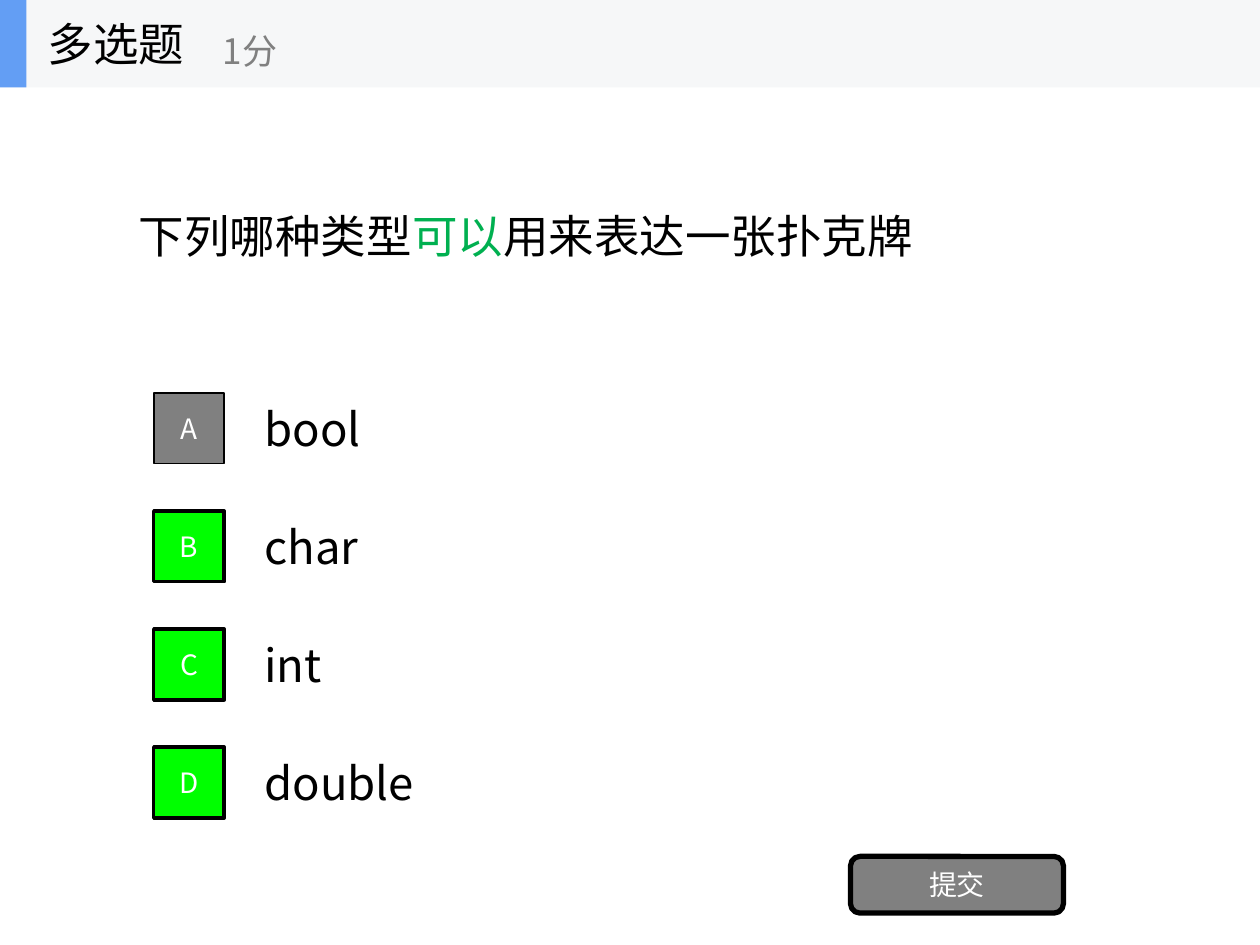
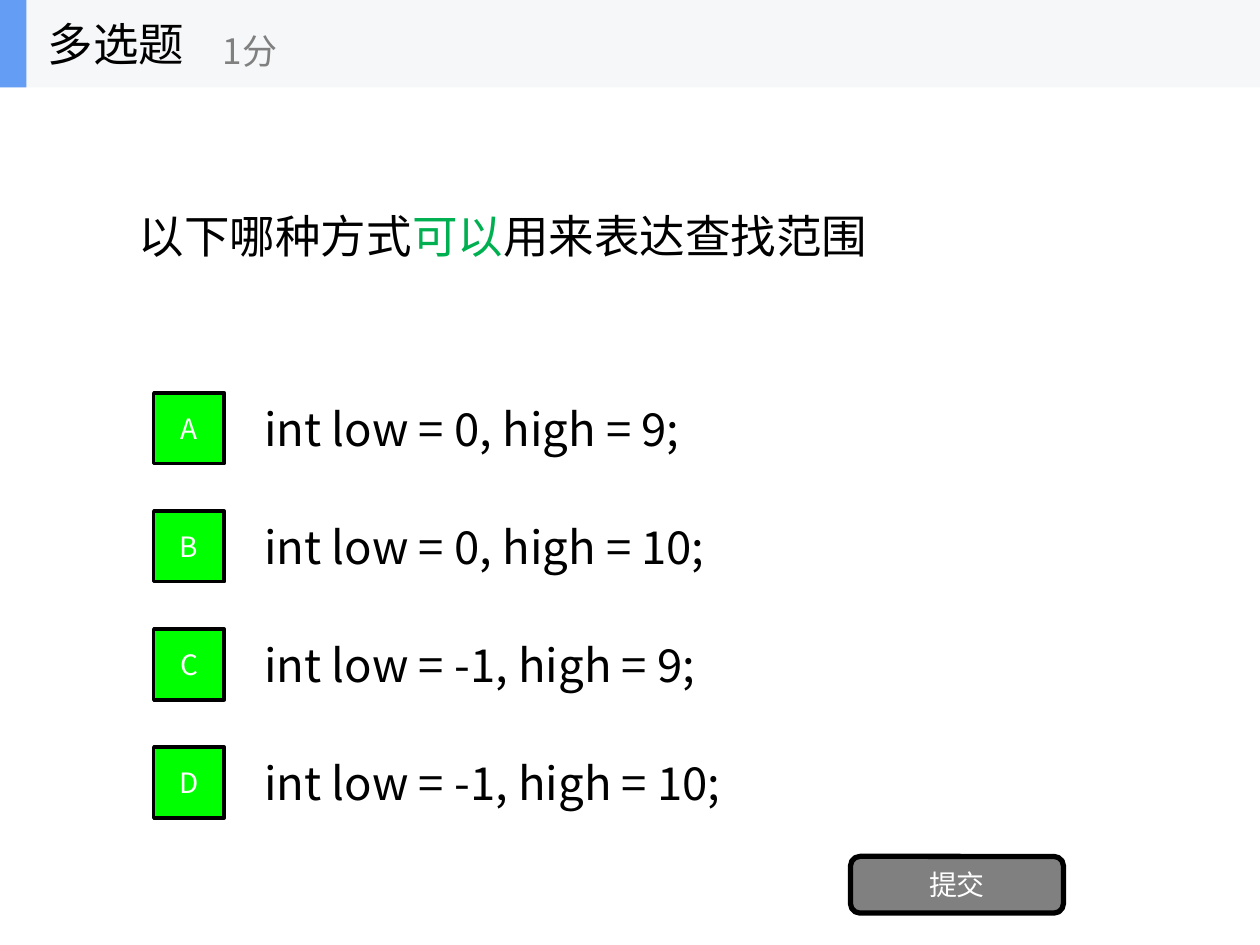
from dataclasses import dataclass
from typing import NamedTuple

from pptx import Presentation
from pptx.dml.color import RGBColor
from pptx.enum.shapes import MSO_SHAPE as Preset
from pptx.enum.text import MSO_ANCHOR as Anchor, MSO_AUTO_SIZE as AutoSize, PP_ALIGN as Align
from pptx.oxml.ns import qn
from pptx.util import Inches, Pt

FONT = "Noto Sans CJK SC"
COLORS = {
    "ink": "000000",
    "paper": "FFFFFF",
    "muted": "808080",
    "correct": "00FF00",
    "emphasis": "00B050",
    "band": "F6F7F8",
    "accent": "639EF4",
}
SLIDE_WIDTH, SLIDE_HEIGHT = Inches(10), Inches(7.5)
COLUMN, ROW = SLIDE_WIDTH / 10, SLIDE_HEIGHT / 8
BODY_SIZE, SCORE_SIZE, BUTTON_SIZE = 26, 20, 16


class Area(NamedTuple):
    column: float
    row: float
    columns: float
    rows: float

    def lengths(self) -> tuple[int, int, int, int]:
        return (
            round(self.column * COLUMN),
            round(self.row * ROW),
            round(self.columns * COLUMN),
            round(self.rows * ROW),
        )


class Span(NamedTuple):
    text: str
    color: str = "ink"


@dataclass(frozen=True)
class Option:
    text: str
    correct: bool = True


@dataclass(frozen=True)
class Question:
    wording: tuple[Span, ...]
    options: tuple[Option, ...]


HEADER_ROWS = 0.74
BAND = Area(0, 0, 10, HEADER_ROWS)
ACCENT = Area(0, 0, 0.21, HEADER_ROWS)
KIND = Area(0.28, 0, 2.08, HEADER_ROWS)
SCORE = Area(1.67, 0.13, 2.5, 0.6)
WORDING = Area(1, HEADER_ROWS, 8, 2.5)
SUBMIT = Area(6.75, 7.25, 1.69, 0.48)
FIRST_OPTION_ROW, OPTION_ROWS, BADGE_ROWS = 3.25, 0.75, 0.6

QUESTIONS = (
    Question(
        (Span("下列哪种类型"), Span("可以", "emphasis"), Span("用来表达一张扑克牌")),
        (Option("bool", False), Option("char"), Option("int"), Option("double")),
    ),
    Question(
        (Span("以下哪种方式"), Span("可以", "emphasis"), Span("用来表达查找范围")),
        tuple(
            Option(f"int low = {low}, high = {high};")
            for low in (0, -1)
            for high in (9, 10)
        ),
    ),
)


def rgb(color: str) -> RGBColor:
    return RGBColor.from_string(COLORS[color])


def write(frame, spans: tuple[Span, ...], size: float, align=Align.LEFT) -> None:
    frame.auto_size = AutoSize.NONE
    frame.word_wrap = True
    frame.vertical_anchor = Anchor.MIDDLE
    paragraph = frame.paragraphs[0]
    paragraph.alignment = align
    for span in spans:
        run = paragraph.add_run()
        run.text = span.text
        run.font.size = Pt(size)
        run.font.name = FONT
        run.font.color.rgb = rgb(span.color)
        east_asian = run.font._element.makeelement(qn("a:ea"), {"typeface": FONT})
        run.font._element.find(qn("a:latin")).addnext(east_asian)


def add_label(shapes, area: Area, span: Span, size: float) -> None:
    write(shapes.add_textbox(*area.lengths()).text_frame, (span,), size)


def add_block(shapes, preset, area: Area, fill: str, outline: float = 0):
    block = shapes.add_shape(preset, *area.lengths())
    block.shadow.inherit = False
    block.fill.solid()
    block.fill.fore_color.rgb = rgb(fill)
    if outline:
        block.line.color.rgb = rgb("ink")
        block.line.width = Pt(outline)
    else:
        block.line.fill.background()
    return block


def add_button(shapes, preset, area: Area, caption: str, fill: str, outline: float) -> None:
    button = add_block(shapes, preset, area, fill, outline)
    write(button.text_frame, (Span(caption, "paper"),), BUTTON_SIZE, Align.CENTER)


def add_header(slide) -> None:
    header = slide.shapes.add_group_shape().shapes
    add_block(header, Preset.RECTANGLE, BAND, "band")
    add_block(header, Preset.RECTANGLE, ACCENT, "accent")
    add_label(header, KIND, Span("多选题"), BODY_SIZE)
    add_label(header, SCORE, Span("1分", "muted"), SCORE_SIZE)


def add_options(slide, options: tuple[Option, ...]) -> None:
    for index, option in enumerate(options):
        area = Area(2, FIRST_OPTION_ROW + index, 7, OPTION_ROWS)
        add_label(slide.shapes, area, Span(option.text), BODY_SIZE)
    for index, (letter, option) in enumerate(zip("ABCD", options)):
        top = FIRST_OPTION_ROW + index + (OPTION_ROWS - BADGE_ROWS) / 2
        fill, outline = ("correct", 2) if option.correct else ("muted", 1)
        badge = Area(1.22, top, 0.56, BADGE_ROWS)
        add_button(slide.shapes, Preset.RECTANGLE, badge, letter, fill, outline)


def add_question(deck, question: Question) -> None:
    slide = deck.slides.add_slide(deck.slide_layouts.get_by_name("Title Only"))
    wording = slide.shapes.title
    wording.left, wording.top, wording.width, wording.height = WORDING.lengths()
    write(wording.text_frame, question.wording, BODY_SIZE)
    add_options(slide, question.options)
    add_button(slide.shapes, Preset.ROUNDED_RECTANGLE, SUBMIT, "提交", "muted", 3)
    add_header(slide)


deck = Presentation()
deck.slide_width, deck.slide_height = SLIDE_WIDTH, SLIDE_HEIGHT
for question in QUESTIONS:
    add_question(deck, question)
deck.save("out.pptx")
